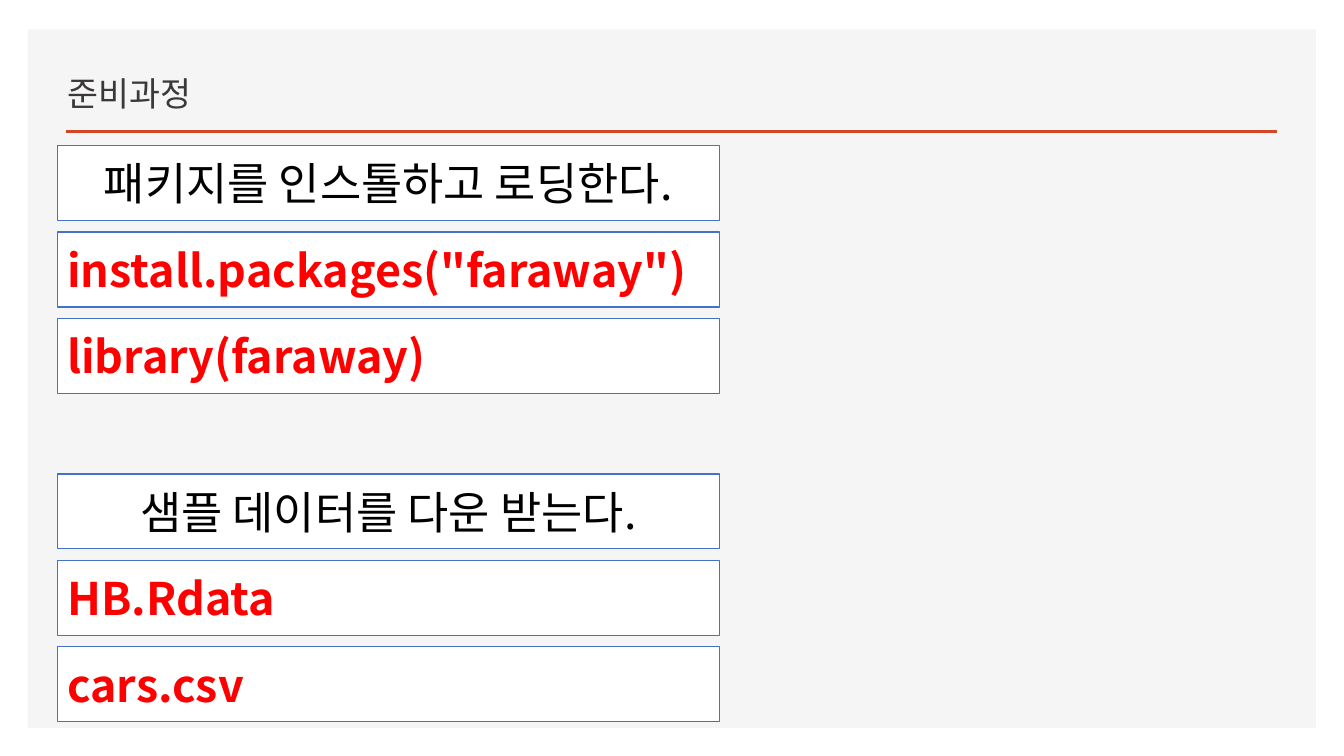
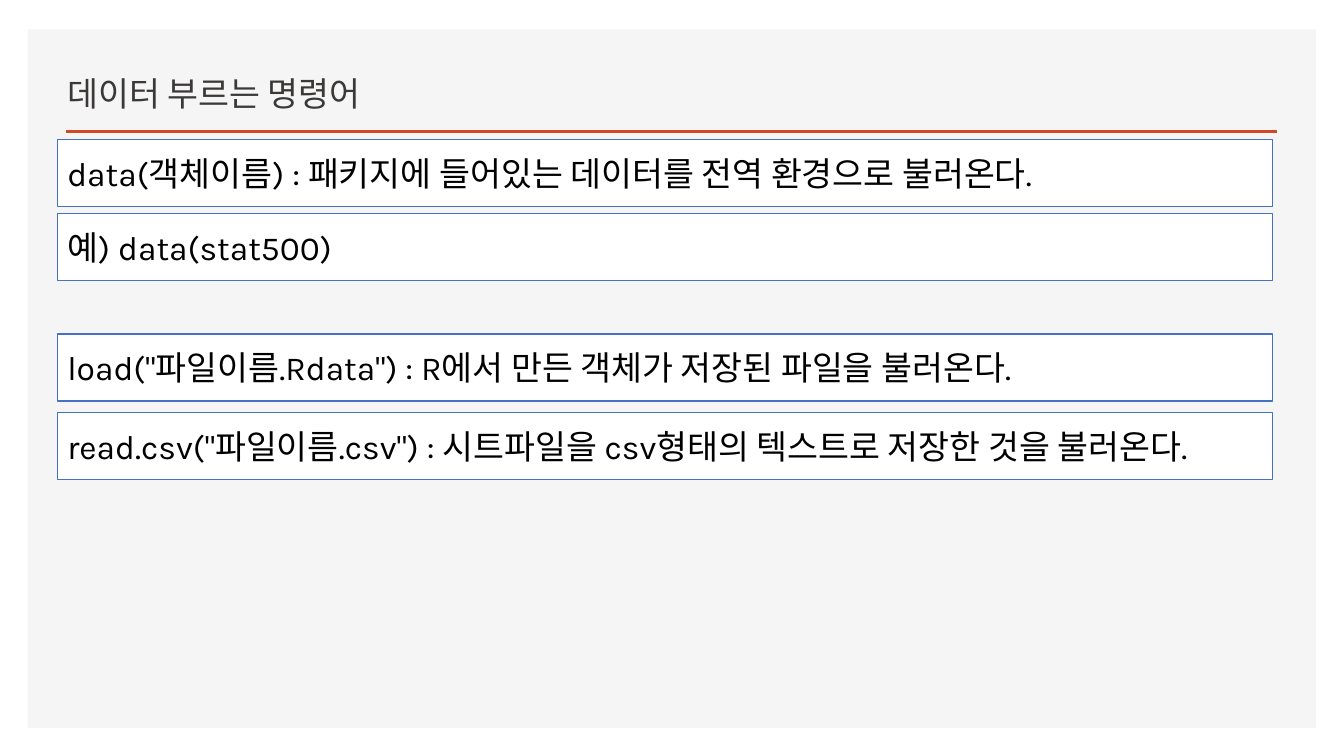
from lxml import etree
from pptx import Presentation
from pptx.dml import color
from pptx.enum import shapes, text
from pptx.oxml import ns
from pptx.util import Pt

HUES = {"panel": "F5F5F5", "rule": "D24726", "title": "3B3838",
        "box": "FFFFFF", "edge": "4472C4", "text": "000000", "code": "FF0000"}
HAN = "Noto Sans CJK KR"
LEFT, CENTER = text.PP_ALIGN.LEFT, text.PP_ALIGN.CENTER
HEAD = {"name": "Karla", "size": Pt(24), "bold": False, "hue": "title", "align": LEFT}
NOTE = {**HEAD, "hue": "text"}
STEP = {**NOTE, "name": HAN, "size": Pt(32), "align": CENTER}
CODE = {**STEP, "bold": True, "hue": "code", "align": LEFT}


def rgb(hue):
    """Look up a named colour."""
    return color.RGBColor.from_string(HUES[hue])


def write(shape, words, form, anchor):
    """Put one formatted line of text in a shape."""
    frame = shape.text_frame
    frame.text = words
    for key, val in {"word_wrap": True, "vertical_anchor": anchor,
                     "auto_size": text.MSO_AUTO_SIZE.NONE}.items():
        setattr(frame, key, val)
    para = frame.paragraphs[0]
    para.alignment = form["align"]
    font = para.runs[0].font
    for key in ("name", "size", "bold"):
        setattr(font, key, form[key])
    font.color.rgb = rgb(form["hue"])
    latin = para.runs[0].font._element.find(ns.qn("a:latin"))
    east = etree.Element(ns.qn("a:ea"), typeface=HAN)
    latin.addnext(east)


def block(slide, box, fill, edge=None):
    """Draw a flat rectangle with an optional thin edge."""
    shape = slide.shapes.add_shape(shapes.MSO_SHAPE.RECTANGLE, *map(Pt, box))
    shape.shadow.inherit = False
    shape.fill.solid()
    shape.fill.fore_color.rgb = rgb(fill)
    if edge:
        shape.line.color.rgb = rgb(edge)
        shape.line.width = Pt(1)
    else:
        shape.line.fill.background()
    return shape


def base(deck, words, box):
    """Add a slide with its panel, rule and title."""
    slide = deck.slides.add_slide(deck.slide_layouts[5])
    block(slide, (20, 21, 920, 499), "panel")
    rule = slide.shapes.add_connector(
        shapes.MSO_CONNECTOR.STRAIGHT, Pt(47.5), Pt(94), Pt(912), Pt(94))
    rule.line.color.rgb = rgb("rule")
    rule.line.width = Pt(2)
    etree.SubElement(rule.element.spPr, ns.qn("a:effectLst"))
    title = slide.shapes.title
    for key, val in zip(("left", "top", "width", "height"), box):
        setattr(title, key, Pt(val))
    write(title, words, HEAD, text.MSO_ANCHOR.BOTTOM)
    title.text_frame.paragraphs[0].line_spacing = 0.9
    title.element.getparent().append(title.element)
    return slide


def stack(slide, box, pitch, rows):
    """Stack text boxes downward at a fixed pitch from the first box."""
    left, top, wide, high = box
    for num, (words, form) in enumerate(rows):
        shape = block(slide, (left, top + num * pitch, wide, high), "box", "edge")
        write(shape, words, form, text.MSO_ANCHOR.MIDDLE)


def main():
    """Build and save both slides."""
    deck = Presentation()
    deck.slide_width, deck.slide_height = Pt(960), Pt(540)

    prep = base(deck, "준비과정", (41, 34.5, 349, 50.5))
    stack(prep, (41, 104, 473, 53.5), 61.75, [
        ("패키지를 인스톨하고 로딩한다.", STEP),
        ('install.packages("faraway")', CODE),
        ("library(faraway)", CODE)])
    stack(prep, (41, 338.5, 473, 53.5), 61.75, [
        ("샘플 데이터를 다운 받는다.", STEP),
        ("HB.Rdata", CODE),
        ("cars.csv", CODE)])

    calls = base(deck, "데이터 부르는 명령어", (41, 34.5, 643, 50.5))
    stack(calls, (41, 99.5, 868, 48), 53, [
        ("data(객체이름) : 패키지에 들어있는 데이터를 전역 환경으로 불러온다.", NOTE),
        ("예) data(stat500)", NOTE)])
    stack(calls, (41, 238.5, 868, 48), 56, [
        ('load("파일이름.Rdata") : R에서 만든 객체가 저장된 파일을 불러온다.', NOTE),
        ('read.csv("파일이름.csv") : 시트파일을 csv형태의 텍스트로 저장한 것을 불러온다.', NOTE)])
    deck.save("out.pptx")


if __name__ == "__main__":
    main()
